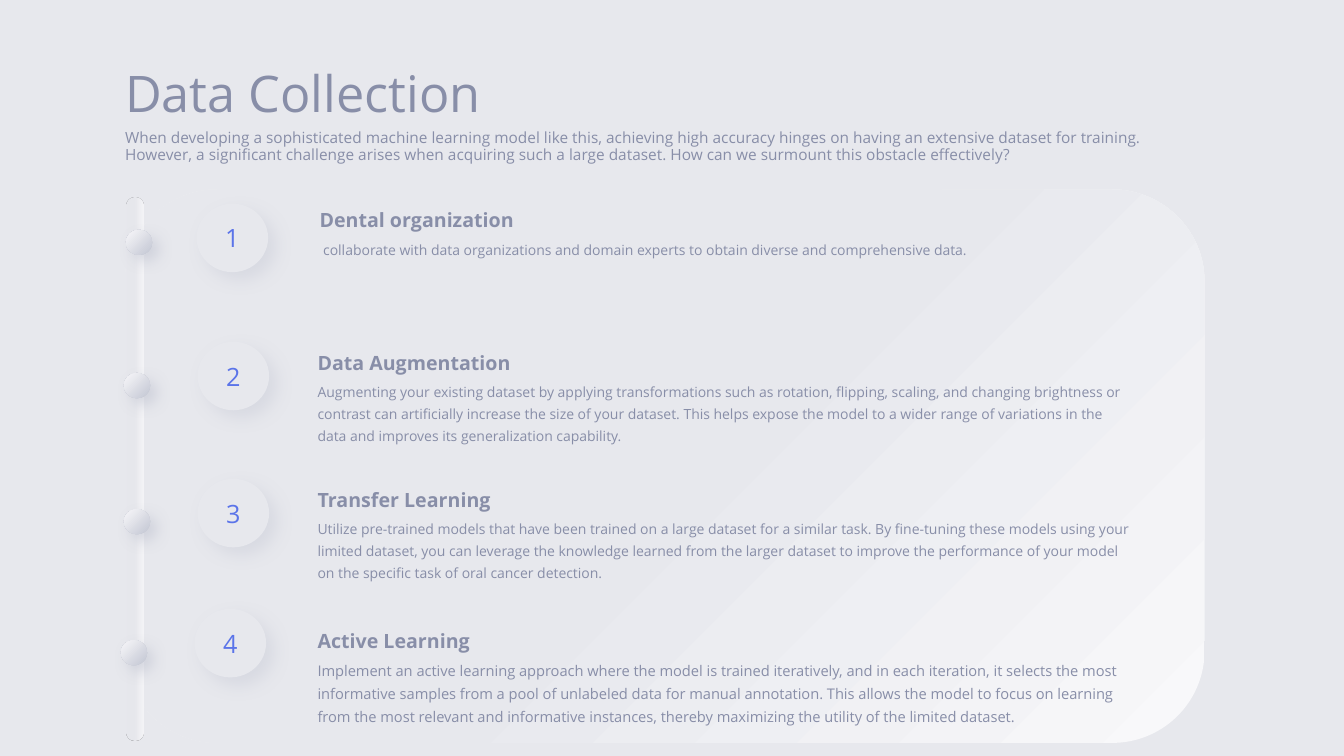
from lxml import etree
from pptx import Presentation
from pptx import util as u
from pptx.dml.color import RGBColor
from pptx.enum import shapes, text
from pptx.oxml.ns import nsdecls, qn

CELL = u.Inches(0.1)  # the slide is a grid of 133.3 columns by 75 rows
BASE, LIGHT, SHADE = "E7E8ED", "F8F8FA", "C3C6D3"
GREY, BLUE = "888EA8", "5B74E9"

presentation = Presentation()
presentation.slide_width, presentation.slide_height = int(CELL * 133.33), CELL * 75
slide = presentation.slides.add_slide(presentation.slide_layouts[1])
slide.background.fill.solid()
slide.background.fill.fore_color.rgb = RGBColor.from_string(BASE)


def draw(kind, box, stops, direction="", shadow=None, flip=False):
    """Add a borderless shape; stops are (percent, colour, alpha), shadow is (alpha, blur, distance)."""
    shape = slide.shapes.add_shape(kind, *[int(CELL * cells) for cells in box])
    shape.line.fill.background()
    shape.shadow.inherit = False
    shape.fill.background()
    properties = shape._element.spPr
    if flip:
        properties.find(qn("a:xfrm")).set("flipH", "1")
    colours = [f'<a:srgbClr val="{colour}"><a:alpha val="{alpha * 1000}"/></a:srgbClr>'
               for _, colour, alpha in stops]
    if len(stops) == 1:
        fill = f'<a:solidFill {nsdecls("a")}>{colours[0]}</a:solidFill>'
    else:
        marks = "".join(f'<a:gs pos="{stop[0] * 1000}">{colour}</a:gs>'
                        for stop, colour in zip(stops, colours))
        fill = (f'<a:gradFill {nsdecls("a")} rotWithShape="1">'
                f'<a:gsLst>{marks}</a:gsLst>{direction}</a:gradFill>')
    properties.replace(properties.find(qn("a:noFill")), etree.fromstring(fill))
    if shadow:
        alpha, blur, distance = shadow
        properties.find(qn("a:effectLst")).append(etree.fromstring(
            f'<a:outerShdw {nsdecls("a")} blurRad="{u.Pt(blur)}" dist="{u.Pt(distance)}" '
            f'dir="2700000" algn="tl" rotWithShape="0"><a:srgbClr val="{SHADE}">'
            f'<a:alpha val="{alpha * 1000}"/></a:srgbClr></a:outerShdw>'))
    return shape


def write(shape, content, size, colour=GREY, bold=False, spacing=1.0, box=None, grow=False,
          anchor=text.MSO_ANCHOR.TOP, align=text.PP_ALIGN.LEFT, side=0):
    if box:
        shape.left, shape.top, shape.width, shape.height = [int(CELL * cells) for cells in box]
    frame = shape.text_frame
    frame.word_wrap = True
    frame.auto_size = text.MSO_AUTO_SIZE.SHAPE_TO_FIT_TEXT if grow else text.MSO_AUTO_SIZE.NONE
    frame.vertical_anchor = anchor
    frame.margin_left = frame.margin_right = int(CELL * side)
    frame.margin_top = frame.margin_bottom = CELL // 2
    paragraph = frame.paragraphs[0]
    settings = paragraph._p.get_or_add_pPr()
    settings.set("marL", "0")
    settings.set("indent", "0")
    etree.SubElement(settings, qn("a:buNone"))
    paragraph.alignment = align
    paragraph.line_spacing = spacing
    paragraph.space_before = u.Pt(0)
    run = paragraph.add_run()
    run.text = content
    run.font.name = "Open Sans"
    run.font.size = u.Pt(size)
    run.font.bold = bold
    run.font.color.rgb = RGBColor.from_string(colour)


# Panel, behind everything
panel = draw(shapes.MSO_SHAPE.ROUNDED_RECTANGLE, (12.4, 18.8, 107.1, 54.9),
             [(0, LIGHT, 100), (50, BASE, 100), (100, BASE, 100)],
             '<a:lin ang="13500000" scaled="0"/>')
panel._element.getparent().insert(2, panel._element)

# Heading and introduction
write(slide.shapes.title, "Data Collection", 36, spacing=0.9, box=(12.4, 6.2, 54.3, 6.5),
      anchor=text.MSO_ANCHOR.BOTTOM)
write(slide.placeholders[1],
      "When developing a sophisticated machine learning model like this, achieving high accuracy "
      "hinges on having an extensive dataset for training. However, a significant challenge arises "
      "when acquiring such a large dataset. How can we surmount this obstacle effectively?",
      11, spacing=0.9, box=(12.4, 12.4, 107.1, 6.5))

# Timeline track
track = draw(shapes.MSO_SHAPE.ROUNDED_RECTANGLE, (-13.5, 45.7, 53.8, 1.7),
             [(0, LIGHT, 80), (50, BASE, 100), (100, BASE, 100)],
             '<a:lin ang="16200000" scaled="0"/>', flip=True)
track.adjustments[0] = 0.5
track.rotation = 270

# Heading, description, description size, then left and top of the knob, number and text
steps = [
    ("Dental organization",
     " collaborate with data organizations and domain experts to obtain diverse and "
     "comprehensive data.",
     10, (12.5, 22.8), (19.5, 20.2), (31.7, 20.1)),
    ("Data Augmentation",
     "Augmenting your existing dataset by applying transformations such as rotation, flipping, "
     "scaling, and changing brightness or contrast can artificially increase the size of your "
     "dataset. This helps expose the model to a wider range of variations in the data and "
     "improves its generalization capability.",
     10, (12.3, 37), (19.6, 33.9), (31.5, 34.2)),
    ("Transfer Learning",
     "Utilize pre-trained models that have been trained on a large dataset for a similar task. "
     "By fine-tuning these models using your limited dataset, you can leverage the knowledge "
     "learned from the larger dataset to improve the performance of your model on the specific "
     "task of oral cancer detection.",
     10, (12.3, 50.5), (19.6, 47.5), (31.5, 47.8)),
    ("Active Learning",
     "Implement an active learning approach where the model is trained iteratively, and in each "
     "iteration, it selects the most informative samples from a pool of unlabeled data for manual "
     "annotation. This allows the model to focus on learning from the most relevant and "
     "informative instances, thereby maximizing the utility of the limited dataset.",
     10.5, (12, 63.5), (19.3, 60.4), (31.5, 61.8)),
]
for number, (heading, description, size, knob, badge, (left, top)) in enumerate(steps, 1):
    draw(shapes.MSO_SHAPE.OVAL, (*knob, 2.6, 2.5), [(0, LIGHT, 100), (100, SHADE, 100)],
         '<a:path path="circle"><a:fillToRect r="100000" b="100000"/></a:path>',
         shadow=(60, 10, 7), flip=True)
    write(slide.shapes.add_textbox(0, 0, 0, 0), heading, 14, bold=True, grow=True,
          box=(left, top, 80.5, 3.4), anchor=text.MSO_ANCHOR.BOTTOM)
    write(slide.shapes.add_textbox(0, 0, 0, 0), description, size, spacing=1.3, grow=True,
          box=(left, top + 2.85, 80.5, 3 if number == 1 else 7.5))
    circle = draw(shapes.MSO_SHAPE.OVAL, (*badge, 7.1, 6.8), [(0, BASE, 100)],
                  shadow=(40, 12, 8))
    write(circle, str(number), 18, colour=BLUE, anchor=text.MSO_ANCHOR.MIDDLE,
          align=text.PP_ALIGN.CENTER, side=1)

presentation.save("out.pptx")
